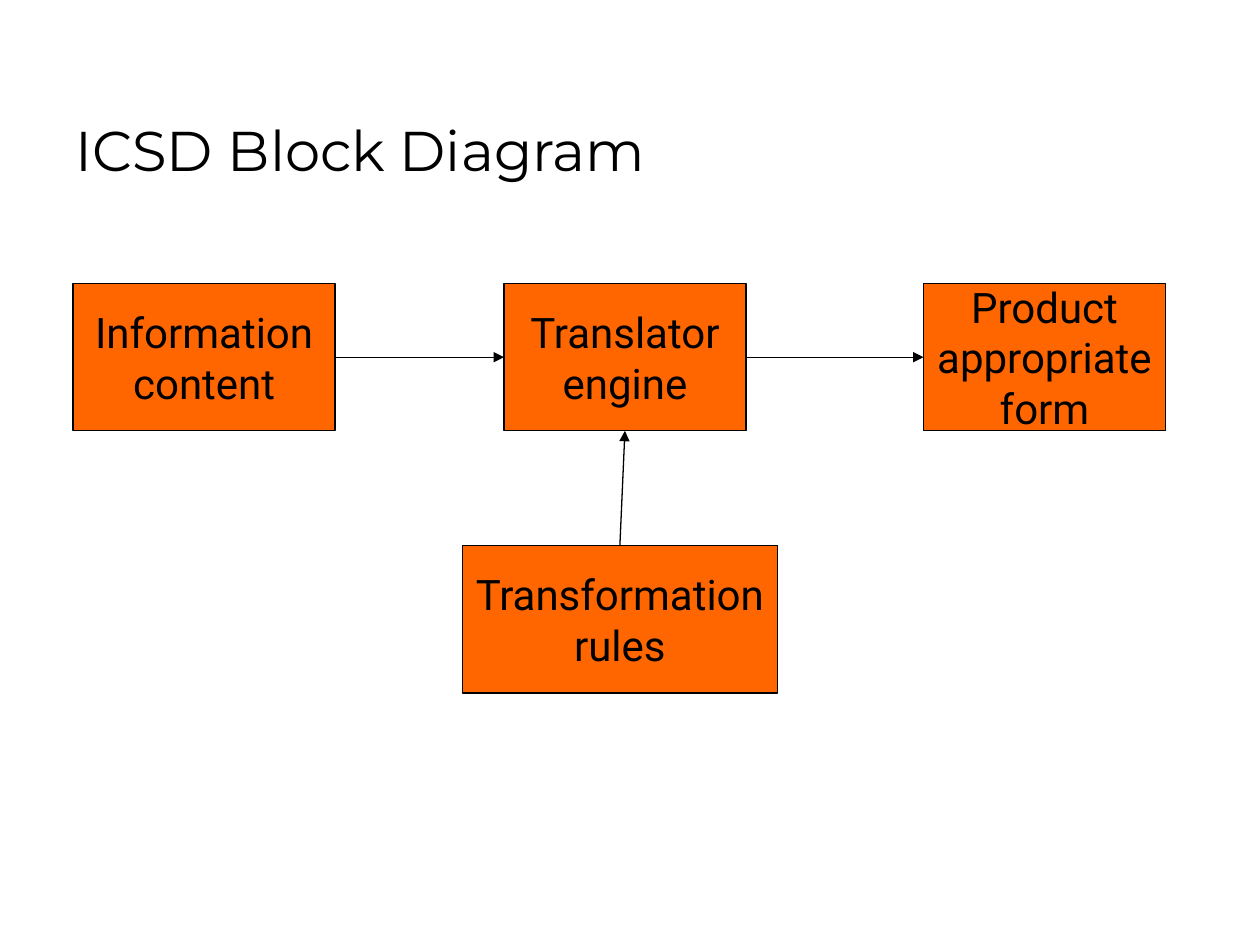
from dataclasses import dataclass

from lxml import etree
from pptx import Presentation
from pptx import util as u
from pptx.dml.color import RGBColor
from pptx.enum import shapes, text
from pptx.oxml.ns import qn


@dataclass(frozen=True)
class Theme:
    ink: RGBColor = RGBColor(0x00, 0x00, 0x00)
    block: RGBColor = RGBColor(0xFF, 0x66, 0x00)
    title_font: str = "Montserrat"
    block_font: str = "Roboto"
    title_size: u.Pt = u.Pt(32)
    block_size: u.Pt = u.Pt(24)
    line_width: u.Pt = u.Pt(0.75)


THEME = Theme()
ROW_TOP, RULES_TOP, BLOCK_HEIGHT = 2.25, 4.33, 1.17


def set_text(frame, wording, anchor, align, font_name, size):
    """Fill a text frame with one formatted paragraph."""
    frame.text = wording
    frame_format = {
        "word_wrap": True,
        "vertical_anchor": anchor,
        "margin_left": u.Inches(0.1),
        "margin_right": u.Inches(0.1),
        "margin_top": u.Inches(0.05),
        "margin_bottom": u.Inches(0.05),
    }
    for key, value in frame_format.items():
        setattr(frame, key, value)
    paragraph = frame.paragraphs[0]
    paragraph.alignment = align
    font = paragraph.runs[0].font
    for key, value in {"name": font_name, "size": size}.items():
        setattr(font, key, value)
    font.color.rgb = THEME.ink


def add_title(slide, wording, box):
    title = slide.shapes.add_textbox(*map(u.Inches, box))
    set_text(title.text_frame, wording, text.MSO_ANCHOR.BOTTOM,
             text.PP_ALIGN.LEFT, THEME.title_font, THEME.title_size)


def add_block(slide, label, box):
    block = slide.shapes.add_shape(
        shapes.MSO_SHAPE.RECTANGLE, *map(u.Inches, box))
    block.shadow.inherit = False
    block.fill.solid()
    block.fill.fore_color.rgb = THEME.block
    block.line.color.rgb = THEME.ink
    block.line.width = THEME.line_width
    set_text(block.text_frame, label, text.MSO_ANCHOR.MIDDLE,
             text.PP_ALIGN.CENTER, THEME.block_font, THEME.block_size)
    return block


def add_arrow(slide, source, source_site, target, target_site):
    """Join two blocks; sites run 0 top, 1 left, 2 bottom, 3 right."""
    arrow = slide.shapes.add_connector(
        shapes.MSO_CONNECTOR.STRAIGHT, 0, 0, 0, 0)
    arrow.begin_connect(source, source_site)
    arrow.end_connect(target, target_site)
    arrow.line.color.rgb = THEME.ink
    arrow.line.width = THEME.line_width
    # Arrowhead at the target, no shadow
    etree.SubElement(arrow.line._get_or_add_ln(), qn("a:tailEnd"),
                     type="triangle")
    etree.SubElement(arrow._element.spPr, qn("a:effectLst"))


def add_diagram(slide):
    # Main flow, left to right
    information, translator, product = (
        add_block(slide, label, (left, ROW_TOP, width, BLOCK_HEIGHT))
        for label, left, width in (
            ("Information content", 0.58, 2.08),
            ("Translator engine", 4, 1.92),
            ("Product appropriate form", 7.33, 1.92),
        ))

    # Rules feeding the translator, centred below it
    rules_width = 2.5
    rules_left = 4.92 - rules_width / 2
    rules = add_block(slide, "Transformation rules",
                      (rules_left, RULES_TOP, rules_width, BLOCK_HEIGHT))

    # Arrows between blocks
    add_arrow(slide, information, 3, translator, 1)
    add_arrow(slide, translator, 3, product, 1)
    add_arrow(slide, rules, 0, translator, 2)


def main():
    deck = Presentation()
    deck.slide_width, deck.slide_height = u.Inches(10), u.Inches(7.5)
    slide = deck.slides.add_slide(deck.slide_layouts[6])
    add_title(slide, "ICSD Block Diagram", (0.5, 0.25, 8.97, 1.25))
    add_diagram(slide)
    deck.save("out.pptx")


if __name__ == "__main__":
    main()
